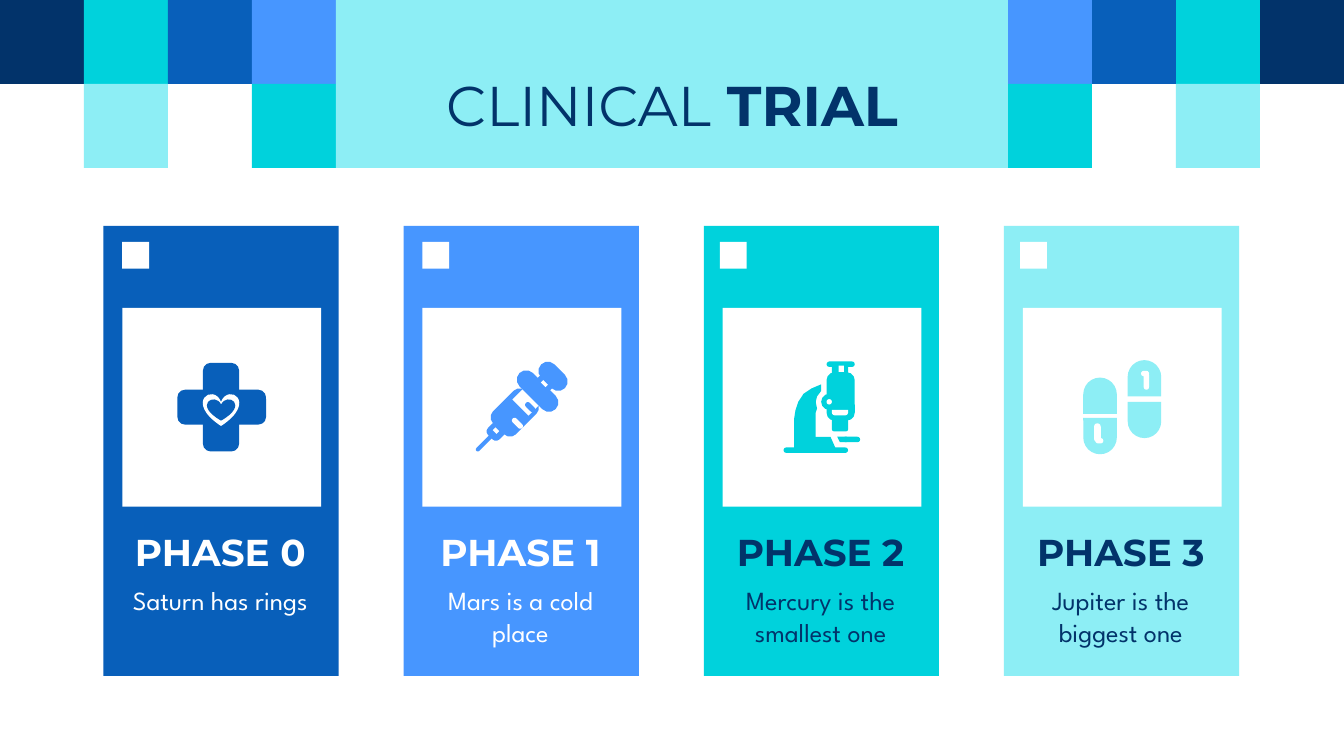
from pptx import Presentation
from pptx.dml.color import RGBColor
from pptx.enum.shapes import MSO_SHAPE
from pptx.enum.text import MSO_ANCHOR, PP_ALIGN
from pptx.util import Inches, Pt

RECT = MSO_SHAPE.RECTANGLE
ROUND = MSO_SHAPE.ROUNDED_RECTANGLE
CAP = MSO_SHAPE.ROUND_2_SAME_RECTANGLE
OVAL = MSO_SHAPE.OVAL
HEART = MSO_SHAPE.HEART
TOP, MIDDLE, BOTTOM = MSO_ANCHOR.TOP, MSO_ANCHOR.MIDDLE, MSO_ANCHOR.BOTTOM
CENTER = PP_ALIGN.CENTER

NAVY, BLUE, SKY = "02336A", "085FBA", "4796FF"
TEAL, PALE, WHITE = "00D2DC", "8DEEF5", "FFFFFF"
HEADING, BODY = "Montserrat", "League Spartan"

SLIDE_W = 10
SLIDE_H = SLIDE_W * 9 / 16
TILE = SLIDE_W / 16
TILES = [
    (0, 0, NAVY), (1, 0, TEAL), (2, 0, BLUE), (3, 0, SKY),
    (1, 1, PALE), (3, 1, TEAL),
]
TITLE = [("CLINICAL", False), (" TRIAL", True)]

CARD_LEFT, CARD_TOP, CARD_W, CARD_H = 0.77, 1.68, 1.75, 3.35
LAST_CARD_LEFT = 7.47
CARDS = [
    ("PHASE 0", "Saturn has rings", BLUE, WHITE, 0.14),
    ("PHASE 1", "Mars is a cold place", SKY, WHITE, 0.14),
    ("PHASE 2", "Mercury is the smallest one", TEAL, NAVY, 0.12),
    ("PHASE 3", "Jupiter is the biggest one", PALE, NAVY, 0.12),
]

CROSS = [
    (ROUND, 1.51, 2.7, 0.27, 0.66, BLUE, 0, 0.22),
    (ROUND, 1.32, 2.9, 0.66, 0.26, BLUE, 0, 0.22),
    (HEART, 1.51, 2.93, 0.27, 0.24, WHITE),
    (HEART, 1.54, 2.97, 0.21, 0.16, BLUE),
]
SYRINGE = [
    (ROUND, 3.59, 3.21, 0.03, 0.17, SKY, 45, 0.5),
    (ROUND, 3.63, 3.15, 0.12, 0.12, SKY, 45, 0.3),
    (ROUND, 3.71, 2.9, 0.24, 0.34, SKY, 45, 0.25),
    (RECT, 3.67, 3.19, 0.04, 0.03, WHITE, 45),
    (RECT, 3.83, 2.93, 0.17, 0.12, WHITE, 45),
    (ROUND, 3.9, 3.01, 0.09, 0.04, SKY, 45, 0.5),
    (ROUND, 3.8, 3.13, 0.1, 0.04, WHITE, 45, 0.5),
    (ROUND, 3.81, 2.84, 0.38, 0.14, SKY, 45, 0.5),
    (RECT, 3.99, 2.79, 0.13, 0.12, SKY, 45),
    (RECT, 4.03, 2.83, 0.05, 0.04, WHITE, 45),
    (ROUND, 3.99, 2.73, 0.25, 0.14, SKY, 45, 0.5),
]
MICROSCOPE = [
    (ROUND, 5.83, 3.33, 0.48, 0.04, TEAL, 0, 0.5),
    (ROUND, 6.15, 2.69, 0.21, 0.04, TEAL, 0, 0.5),
    (RECT, 6.19, 2.72, 0.12, 0.07, TEAL),
    (RECT, 6.24, 2.72, 0.04, 0.05, WHITE),
    (ROUND, 6.15, 2.77, 0.21, 0.36, TEAL, 0, 0.28),
    (OVAL, 6.11, 2.93, 0.12, 0.12, TEAL),
    (OVAL, 6.15, 2.97, 0.04, 0.04, WHITE),
    (CAP, 6.19, 3.05, 0.12, 0.04, WHITE, 180, 0.5),
    (ROUND, 6.19, 3.1, 0.12, 0.11, TEAL, 0, 0.15),
    (ROUND, 6.27, 3.25, 0.13, 0.04, TEAL, 0, 0.5),
]
PILLS = [
    (CAP, 8.06, 2.81, 0.25, 0.27, PALE, 0, 0.5),
    (CAP, 8.06, 3.11, 0.25, 0.27, PALE, 180, 0.5),
    (CAP, 8.39, 2.68, 0.25, 0.27, PALE, 0, 0.5),
    (CAP, 8.39, 2.99, 0.25, 0.27, PALE, 180, 0.5),
    (ROUND, 8.14, 3.15, 0.05, 0.14, WHITE, 0, 0.5),
    (ROUND, 8.15, 3.26, 0.06, 0.04, WHITE, 0, 0.5),
    (ROUND, 8.51, 2.77, 0.04, 0.13, WHITE, 0, 0.5),
    (ROUND, 8.49, 2.76, 0.06, 0.04, WHITE, 0, 0.5),
]
MICROSCOPE_OUTLINES = [
    [(6.11, 2.86), (6.04, 2.89), (5.98, 2.93), (5.94, 2.99), (5.92, 3.05),
     (5.91, 3.11), (5.91, 3.34), (6.07, 3.34), (6.07, 3.07), (6.08, 3.04),
     (6.07, 2.99), (6.08, 2.95), (6.11, 2.91)],
    [(6.06, 3.25), (6.18, 3.25), (6.22, 3.34), (6.06, 3.34)],
    [(6.23, 3.25), (6.3, 3.25), (6.3, 3.29), (6.25, 3.29)],
]


def color(value):
    return RGBColor.from_string(value)


def paint(shape, fill):
    shape.shadow.inherit = False
    shape.fill.solid()
    shape.fill.fore_color.rgb = color(fill)
    shape.line.fill.background()
    return shape


def add_piece(kind, left, top, width, height, fill, turn=0, rounding=None):
    piece = paint(slide.shapes.add_shape(
        kind, Inches(left), Inches(top), Inches(width), Inches(height)), fill)
    piece.rotation = turn
    if rounding is not None:
        piece.adjustments[0] = rounding
    return piece


def add_outline(points, fill):
    corners = [(Inches(x), Inches(y)) for x, y in points]
    builder = slide.shapes.build_freeform(*corners[0])
    builder.add_line_segments(corners[1:], close=True)
    paint(builder.convert_to_shape(), fill)


def write(box, runs, *, size, font, ink, anchor, top=0.1, bottom=0.1):
    frame = box.text_frame
    frame.word_wrap = True
    frame.vertical_anchor = anchor
    frame.margin_left = frame.margin_right = Inches(0.1)
    frame.margin_top, frame.margin_bottom = Inches(top), Inches(bottom)
    paragraph = frame.paragraphs[0]
    paragraph.alignment = CENTER
    for text, bold in runs:
        run = paragraph.add_run()
        run.text = text
        run.font.size = Pt(size)
        run.font.name = font
        run.font.bold = bold
        run.font.color.rgb = color(ink)


def add_label(left, top, height, text, bold, **style):
    box = slide.shapes.add_textbox(
        Inches(left), Inches(top), Inches(1.54), Inches(height))
    write(box, [(text, bold)], **style)


prs = Presentation()
prs.slide_width, prs.slide_height = Inches(SLIDE_W), Inches(SLIDE_H)
slide = prs.slides.add_slide(prs.slide_layouts[6])

for column, row, fill in TILES:
    left = column * TILE
    for x in (left, SLIDE_W - TILE - left):
        add_piece(RECT, x, row * TILE, TILE, TILE, fill)

banner = add_piece(RECT, 4 * TILE, 0, 8 * TILE, 2 * TILE, PALE)
write(banner, TITLE, size=30, font=HEADING, ink=NAVY, anchor=MIDDLE,
      top=0.3, bottom=0)

pitch = (LAST_CARD_LEFT - CARD_LEFT) / (len(CARDS) - 1)
for index, (phase, fact, fill, ink, marker_inset) in enumerate(CARDS):
    left = CARD_LEFT + index * pitch
    add_piece(RECT, left, CARD_TOP, CARD_W, CARD_H, fill)
    add_piece(RECT, left + 0.14, 2.29, 1.48, 1.48, WHITE)
    add_piece(RECT, left + marker_inset, 1.8, 0.2, 0.2, WHITE)
    add_label(left + 0.1, 3.82, 0.55, phase, True,
              size=20, font=HEADING, ink=ink, anchor=BOTTOM)
    add_label(left + 0.1, 4.25, 0.64, fact, False,
              size=14, font=BODY, ink=ink, anchor=TOP)

for points in MICROSCOPE_OUTLINES:
    add_outline(points, TEAL)
for icon in (CROSS, SYRINGE, MICROSCOPE, PILLS):
    for piece in icon:
        add_piece(*piece)

prs.save("out.pptx")
